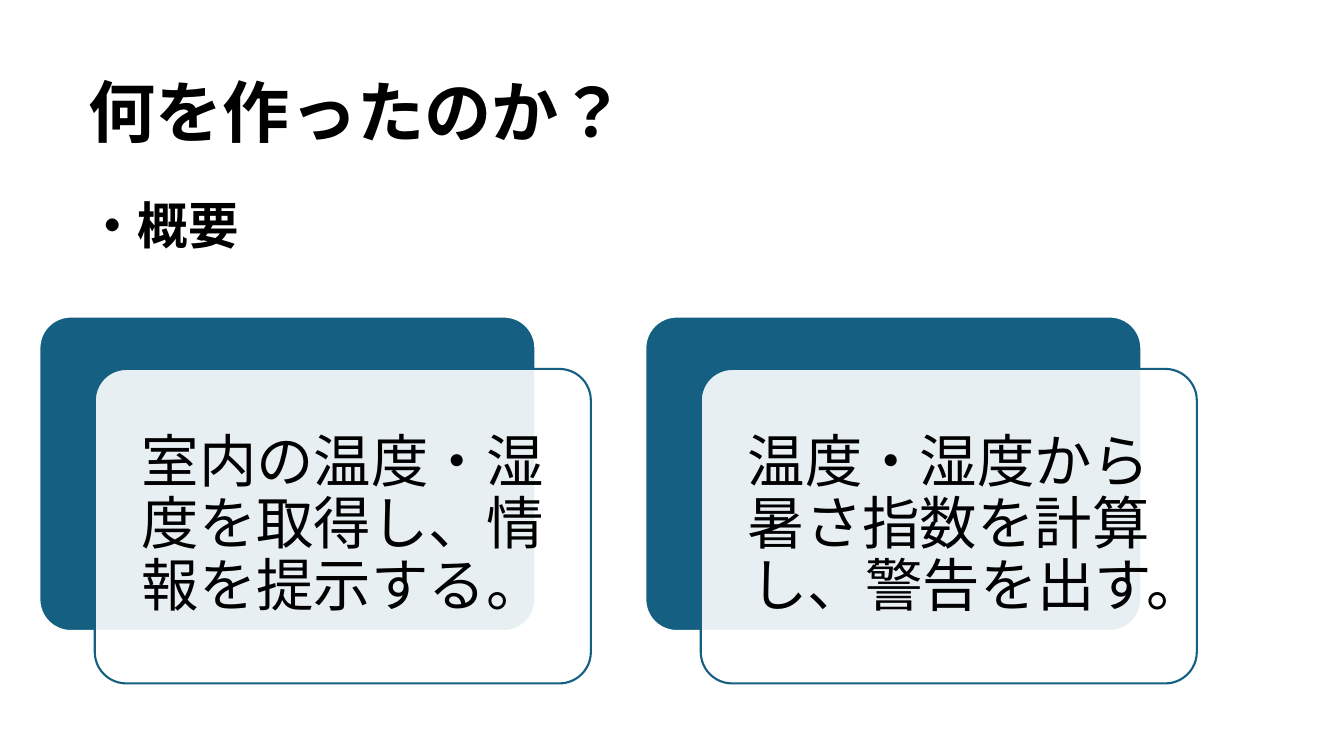
"""Build the slide that outlines what was made, with two layered cards."""
import dataclasses

import lxml.etree
import pptx
import pptx.dml.color
import pptx.enum.lang
import pptx.enum.shapes
import pptx.enum.text
import pptx.oxml.ns
import pptx.shapes.autoshape
import pptx.slide
import pptx.util

Inches = pptx.util.Inches


@dataclasses.dataclass(frozen=True)
class Theme:
    """Colours, font and type sizes."""
    font: str = "Noto Sans CJK JP"
    ink: str = "000000"
    accent: str = "156082"
    paper: str = "FFFFFF"
    panel_opacity: int = 90
    title_size: int = 48
    subtitle_size: int = 36
    card_size: int = 41
    outline: float = 1.5


@dataclasses.dataclass(frozen=True)
class Box:
    """A rectangle in inches."""
    left: float
    top: float
    width: float
    height: float

    def lengths(self) -> tuple[int, ...]:
        """Give left, top, width and height as slide lengths."""
        return tuple(Inches(value) for value in dataclasses.astuple(self))

    def shifted(self, right: float, down: float) -> "Box":
        """Give the same rectangle moved right and down."""
        return Box(self.left + right, self.top + down, self.width, self.height)

    def inset(self, margin: float) -> "Box":
        """Give the rectangle shrunk by a margin on every side."""
        return Box(self.left + margin, self.top + margin,
                   self.width - 2 * margin, self.height - 2 * margin)


@dataclasses.dataclass(frozen=True)
class Heading:
    """A bold line of text."""
    text: str
    box: Box
    size: int


THEME = Theme()
HEADINGS = (
    Heading("何を作ったのか？", Box(0.78, 0.65, 8.68, 0.91), THEME.title_size),
    Heading("・概要", Box(0.77, 1.88, 8, 0.71), THEME.subtitle_size),
)
CARDS = (
    "室内の温度・湿度を取得し、情報を提示する。",
    "温度・湿度から暑さ指数を計算し、警告を出す。",
)
FIRST_CARD = Box(0.39, 3.14, 4.92, 3.12)
CARD_PITCH = 6.01
PANEL_SHIFT = (0.55, 0.52)
PANEL_MARGIN = 0.09
TEXT_INSET = 0.17


def colour(code: str) -> pptx.dml.color.RGBColor:
    """Turn a hex code into a colour."""
    return pptx.dml.color.RGBColor.from_string(code)


def add_text(page: pptx.slide.Slide, text: str, box: Box, size: int,
             bold: bool = False) -> pptx.shapes.autoshape.Shape:
    """Add a wrapping text box with one run."""
    shape = page.shapes.add_textbox(*box.lengths())
    shape.text_frame.word_wrap = True
    span = shape.text_frame.paragraphs[0].add_run()
    span.text = text
    font = span.font
    font.size = pptx.util.Pt(size)
    font.bold = bold
    font.color.rgb = colour(THEME.ink)
    font.name = THEME.font
    font.language_id = pptx.enum.lang.MSO_LANGUAGE_ID.JAPANESE
    lxml.etree.SubElement(span.font._element, pptx.oxml.ns.qn("a:ea"),
                          typeface=THEME.font)
    return shape


def add_panel(page: pptx.slide.Slide, box: Box, fill: str, line: str,
              opacity: int = 100) -> None:
    """Add a rounded rectangle, see-through if opacity is below 100."""
    panel = page.shapes.add_shape(
        pptx.enum.shapes.MSO_SHAPE.ROUNDED_RECTANGLE, *box.lengths())
    panel.adjustments[0] = 0.1
    panel.shadow.inherit = False
    panel.fill.solid()
    panel.fill.fore_color.rgb = colour(fill)
    panel.line.color.rgb = colour(line)
    panel.line.width = pptx.util.Pt(THEME.outline)
    if opacity < 100:
        tint = panel._element.spPr.find(
            f"{pptx.oxml.ns.qn('a:solidFill')}/{pptx.oxml.ns.qn('a:srgbClr')}")
        lxml.etree.SubElement(tint, pptx.oxml.ns.qn("a:alpha"),
                              val=str(opacity * 1000))


def add_card(page: pptx.slide.Slide, text: str, back: Box) -> None:
    """Add a solid back, a translucent front panel and centred text."""
    front = back.shifted(*PANEL_SHIFT)
    add_panel(page, back, THEME.accent, THEME.paper)
    add_panel(page, front, THEME.paper, THEME.accent, THEME.panel_opacity)
    frame = add_text(page, text, front.inset(PANEL_MARGIN),
                     THEME.card_size).text_frame
    frame.vertical_anchor = pptx.enum.text.MSO_ANCHOR.MIDDLE
    frame.margin_left = frame.margin_right = Inches(TEXT_INSET)
    frame.margin_top = frame.margin_bottom = Inches(TEXT_INSET)
    para = frame.paragraphs[0]
    para.alignment = pptx.enum.text.PP_ALIGN.CENTER
    para.line_spacing = 0.9


def main() -> None:
    """Build and save the deck."""
    deck = pptx.Presentation()
    deck.slide_width, deck.slide_height = Inches(13.33), Inches(7.5)
    page = deck.slides.add_slide(deck.slide_layouts[6])
    for heading in HEADINGS:
        add_text(page, heading.text, heading.box, heading.size, bold=True)
    for index, text in enumerate(CARDS):
        add_card(page, text, FIRST_CARD.shifted(index * CARD_PITCH, 0))
    deck.save("out.pptx")


if __name__ == "__main__":
    main()
